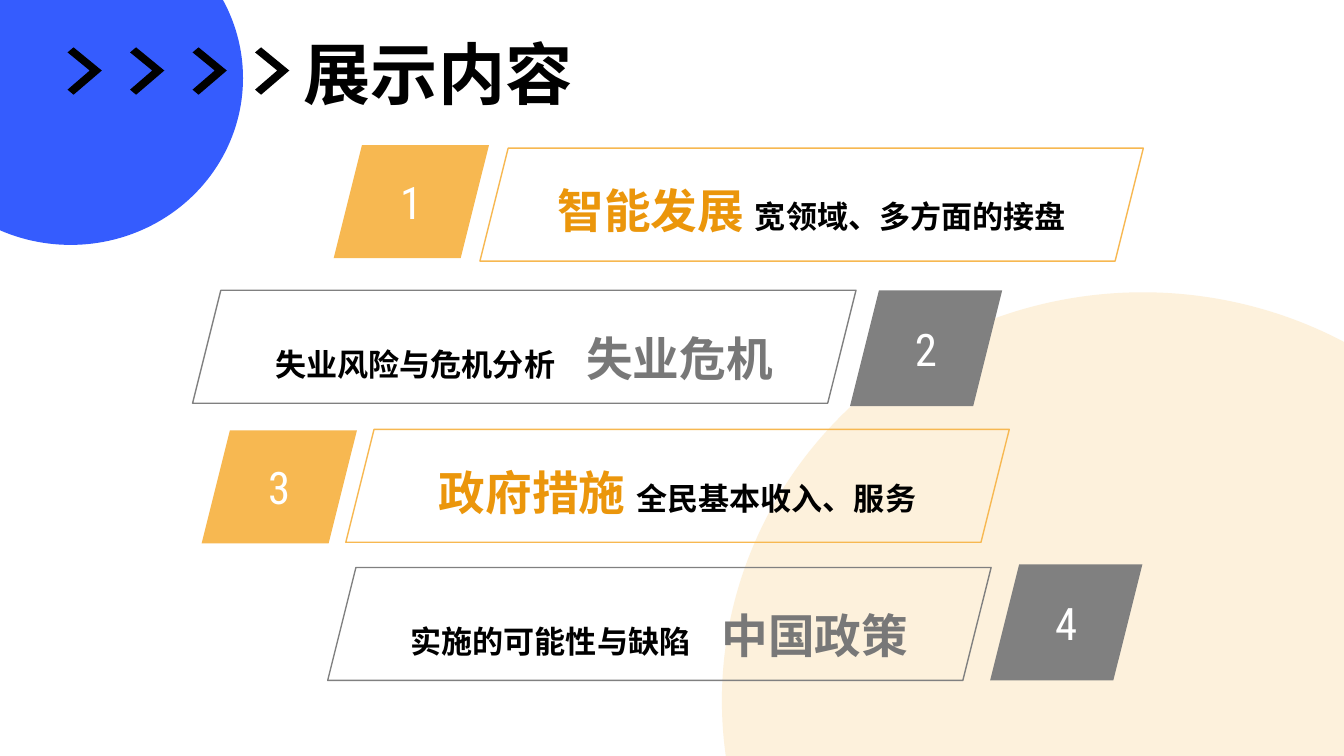
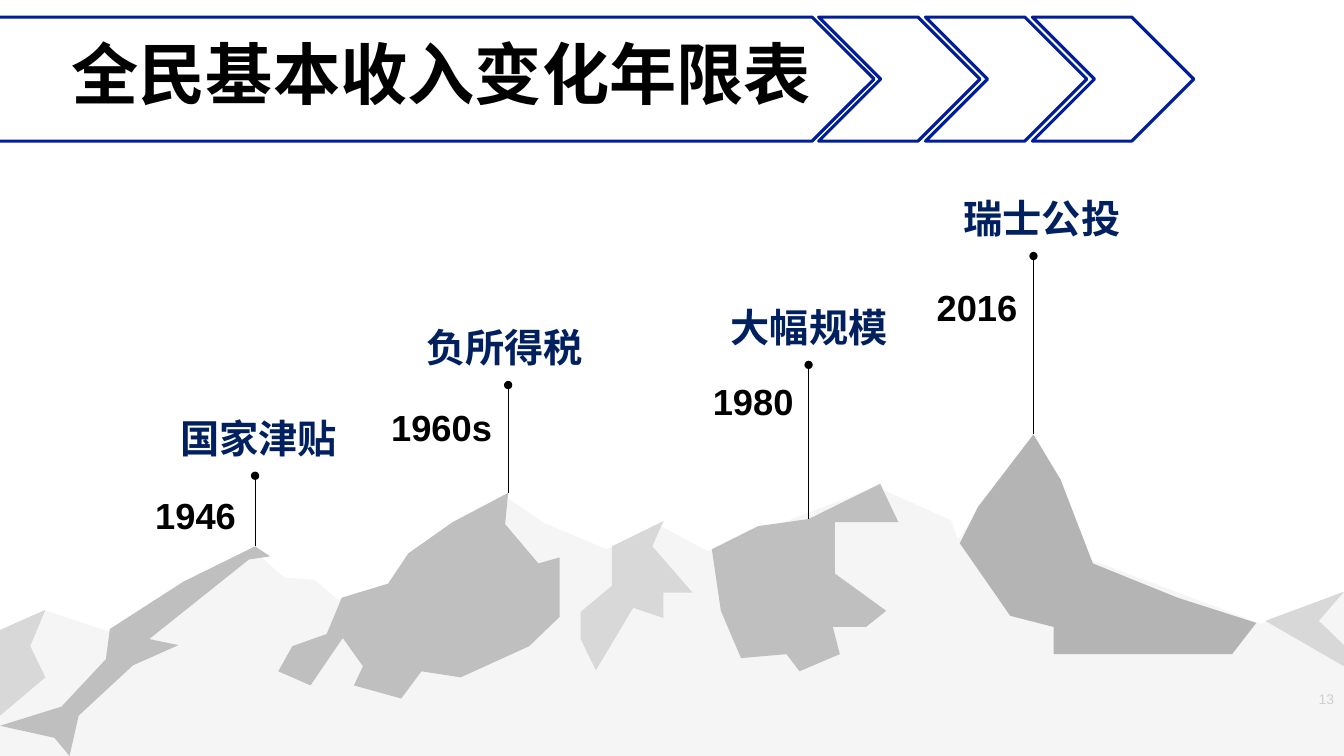
import pptx
import pptx.util
import pptx.dml.color
import pptx.enum.shapes
import pptx.enum.text
import pptx.oxml.ns
from lxml import etree

Inches, Pt = pptx.util.Inches, pptx.util.Pt
MSO = pptx.enum.shapes.MSO_SHAPE
ALIGN = pptx.enum.text.PP_ALIGN
ANCHOR = pptx.enum.text.MSO_ANCHOR
qn = pptx.oxml.ns.qn
RGBColor = pptx.dml.color.RGBColor

BLACK = RGBColor.from_string("000000")
WHITE = RGBColor.from_string("FFFFFF")
BLUE = RGBColor.from_string("355CFE")
CREAM = RGBColor.from_string("FDF1DC")
AMBER = RGBColor.from_string("F7B851")
ORANGE = RGBColor.from_string("EB960B")
GRAY = RGBColor.from_string("808080")
DARK_GRAY = RGBColor.from_string("787878")
BAND_BLUE = RGBColor.from_string("011E99")
NAVY = RGBColor.from_string("002060")
SNOW = RGBColor.from_string("F2F2F2")
ROCK_LIGHT = RGBColor.from_string("D8D8D8")
ROCK = RGBColor.from_string("BFBFBF")
ROCK_DARK = RGBColor.from_string("B4B4B4")


def write(sp, runs, align=ALIGN.CENTER, anchor=ANCHOR.MIDDLE, spacing=None,
          font="Arial", bold=True):
    """Fill a shape with one paragraph of (text, size, colour) runs."""
    tf = sp.text_frame
    tf.word_wrap = True
    tf.auto_size = pptx.enum.text.MSO_AUTO_SIZE.NONE
    tf.vertical_anchor = anchor
    p = tf.paragraphs[0]
    p.alignment = align
    p.line_spacing = spacing
    for text, size, color in runs:
        r = p.add_run()
        r.text = text
        r.font.size = Pt(size)
        r.font.name = font
        r.font.bold = bold
        r.font.color.rgb = color


def add_shape(s, kind, box=None, fill=None, line=None, width=1):
    """Add a preset shape in a box, or a polygon when kind is a list of points."""
    if isinstance(kind, list):
        pts = [(round(x * 100), round(y * 100)) for x, y in kind]
        fb = s.shapes.build_freeform(*pts[0], scale=Inches(0.01))
        fb.add_line_segments(pts[1:], close=True)
        sp = fb.convert_to_shape()
    else:
        sp = s.shapes.add_shape(kind, *[Inches(v) for v in box])
    sp.shadow.inherit = False
    if fill is None:
        sp.fill.background()
    else:
        sp.fill.solid()
        sp.fill.fore_color.rgb = fill
    if line is None:
        sp.line.fill.background()
    else:
        sp.line.color.rgb = line
        sp.line.width = Pt(width)
    return sp


prs = pptx.Presentation()
prs.slide_width, prs.slide_height = Inches(13.33), Inches(7.5)

# Slides with their titles
slides = []
for text, left, width, align in [
    ("展示内容", 2.87, 2.95, ALIGN.CENTER),
    ("全民基本收入变化年限表", 0.61, 9.35, ALIGN.LEFT),
]:
    s = prs.slides.add_slide(prs.slide_layouts[5])
    title = s.shapes.title
    title.left, title.top = Inches(left), Inches(0.19)
    title.width, title.height = Inches(width), Inches(1.06)
    write(title, [(text, 48, BLACK)], align)
    slides.append(s)
agenda, timeline = slides

# Agenda: background circles and small arrows
add_shape(agenda, MSO.OVAL, (7.16, 2.9, 8.35, 8.1), CREAM)
add_shape(agenda, MSO.OVAL, (-1.01, -0.88, 3.42, 3.31), BLUE)
ARROW = [(0.06, 0.47), (0.34, 0.23), (0.06, 0), (0, 0.05), (0.22, 0.23), (0, 0.42)]
for i in range(4):
    add_shape(agenda, [(0.67 + 0.62 * i + x, 0.47 + y) for x, y in ARROW], fill=BLACK)

# Agenda: numbered cards, number on the left for odd ones
for number, num_x, num_y, card_x, card_y, head, detail in [
    (1, 3.31, 1.44, 4.76, 1.47, "智能发展", "宽领域、多方面的接盘"),
    (2, 8.43, 2.88, 1.91, 2.88, "失业危机", "失业风险与危机分析"),
    (3, 2, 4.27, 3.43, 4.26, "政府措施", "全民基本收入、服务"),
    (4, 9.82, 5.6, 3.25, 5.63, "中国政策", "实施的可能性与缺陷"),
]:
    if number % 2:
        color, size, spacing = AMBER, (1.54, 1.12), 1.2
        runs = [(head + " ", 33.3, ORANGE), (detail, 22.2, BLACK)]
    else:
        color, size, spacing = GRAY, (1.51, 1.15), 1.4
        runs = [(detail + "　", 22.2, BLACK), (head, 33.3, DARK_GRAY)]
    sp = add_shape(agenda, MSO.PARALLELOGRAM, (num_x, num_y, *size), color)
    write(sp, [(str(number), 32, WHITE)], font="Roboto Condensed", bold=False)
    sp = add_shape(agenda, MSO.PARALLELOGRAM, (card_x, card_y, 6.58, 1.12), line=color)
    write(sp, runs, spacing=spacing)

# Timeline: title band, with the title brought in front of it
add_shape(timeline, MSO.PENTAGON, (-0.04, 0.17, 8.71, 1.23), WHITE, BAND_BLUE, 2.25)
for i in range(3):
    add_shape(timeline, MSO.CHEVRON, (8.12 + 1.06 * i, 0.17, 1.6, 1.23),
              WHITE, BAND_BLUE, 2.25)
timeline.shapes._spTree.append(timeline.shapes.title._element)

# Timeline: page number, behind the mountains
sp = timeline.shapes.add_textbox(Inches(10.15), Inches(6.82), Inches(3.18), Inches(0.23))
write(sp, [("13", 10, GRAY)], ALIGN.RIGHT, bold=False)

# Timeline: translucent mountain range
ridge = add_shape(timeline, [
    (0, 7.5), (0, 6.4), (0.46, 6.06), (1.06, 6.26), (2.49, 5.44), (2.82, 5.73),
    (3.12, 5.75), (3.35, 5.95), (3.87, 5.79), (4.99, 4.91), (5.4, 5.19),
    (6.02, 5.45), (6.54, 5.21), (7.02, 5.47), (8.69, 4.83), (9.43, 5.16),
    (9.5, 5.35), (10.25, 4.35), (10.81, 5.55), (12.51, 6.19), (13.33, 5.88),
    (13.33, 7.5)], fill=SNOW)
clr = ridge._element.spPr.find(qn("a:solidFill")).find(qn("a:srgbClr"))
etree.SubElement(clr, qn("a:alpha"), val="70000")

# Timeline: shaded rock faces, from left to right
for color, pts in [
    (ROCK_LIGHT, [(0, 6.25), (0.45, 6.05), (0.3, 6.41), (0.45, 6.72), (0, 7.1)]),
    (ROCK, [
        (0, 7.2), (0.61, 7.01), (1.05, 6.54), (1.09, 6.24), (1.82, 5.77), (2.53, 5.42),
        (2.68, 5.52), (2.47, 5.55), (1.48, 6.34), (1.77, 6.4), (1.32, 6.6),
        (0.78, 7.1), (0.69, 7.5), (0.54, 7.32)]),
    (ROCK, [
        (3.39, 5.93), (3.24, 6.29), (2.9, 6.41), (2.76, 6.66), (3.08, 6.8),
        (3.4, 6.33), (3.6, 6.61), (3.51, 6.8), (3.98, 6.93), (4.18, 6.66),
        (4.57, 6.72), (5.25, 6.41), (5.55, 6.12), (5.55, 5.53), (5.34, 5.59),
        (5.01, 5.2), (5.04, 4.89), (4.49, 5.18), (4.05, 5.49), (3.85, 5.79)]),
    (ROCK_LIGHT, [
        (6.07, 5.42), (6.07, 5.81), (5.76, 6.07), (5.76, 6.34), (5.91, 6.65),
        (6.28, 6.03), (6.58, 6.13), (6.58, 5.88), (6.87, 5.88), (6.47, 5.42),
        (6.58, 5.17)]),
    (ROCK, [
        (7.06, 5.45), (7.15, 6.06), (7.35, 6.53), (7.8, 6.49), (7.93, 6.66),
        (8.33, 6.49), (8.26, 6.22), (8.59, 6.22), (8.79, 6.06), (8.28, 5.69),
        (8.28, 5.18), (8.91, 5.18), (8.73, 4.8), (8.02, 5.15), (7.52, 5.22)]),
    (ROCK_DARK, [
        (9.7, 5.03), (9.52, 5.39), (10.02, 6.11), (10.45, 6.22), (10.45, 6.49),
        (12.22, 6.49), (12.46, 6.18), (11.68, 5.93), (10.84, 5.59), (10.52, 4.76),
        (10.25, 4.31)]),
    (ROCK_LIGHT, [(13.33, 5.87), (13.08, 6.16), (13.33, 6.4), (13.33, 6.61), (12.55, 6.16)]),
]:
    add_shape(timeline, pts, fill=color)

# Timeline: pins on the peaks, with year and event
for x, peak_y, dot_y, year, year_x, year_y, event, event_x in [
    (2.53, 5.42, 4.72, "1946", 1.22, 4.88, "国家津贴", 1.69),
    (5.04, 4.89, 3.82, "1960s", 3.66, 4.01, "负所得税", 4.13),
    (8.02, 5.15, 3.62, "1980", 6.75, 3.75, "大幅规模", 7.15),
    (10.25, 4.31, 2.54, "2016", 8.97, 2.82, "瑞士公投", 9.46),
]:
    pin = timeline.shapes.add_connector(
        pptx.enum.shapes.MSO_CONNECTOR.STRAIGHT,
        Inches(x), Inches(peak_y), Inches(x), Inches(dot_y))
    pin.line.color.rgb = BLACK
    pin.line.width = Pt(0.25)
    ln = pin._element.spPr.find(qn("a:ln"))
    etree.SubElement(ln, qn("a:tailEnd"), type="oval")
    etree.SubElement(pin._element.spPr, qn("a:effectLst"))

    sp = timeline.shapes.add_textbox(
        Inches(year_x), Inches(year_y), Inches(1.44), Inches(0.51))
    write(sp, [(year, 25.9, BLACK)], spacing=0.9)
    sp = timeline.shapes.add_textbox(
        Inches(event_x), Inches(dot_y - 0.66), Inches(1.8), Inches(0.57))
    write(sp, [(event, 28, NAVY)], ALIGN.LEFT, ANCHOR.TOP)

prs.save("out.pptx")
